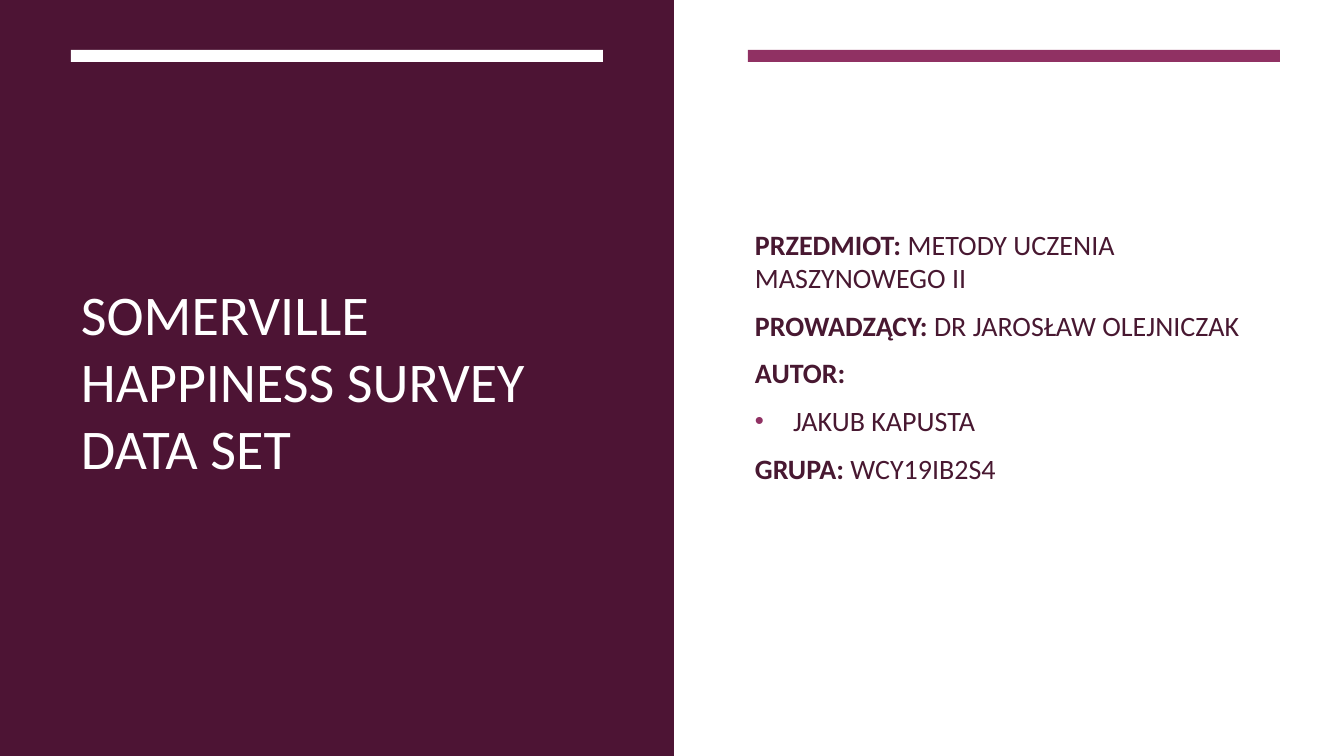
from lxml import etree
from pptx import Presentation
from pptx.dml.color import RGBColor
from pptx.enum.shapes import MSO_SHAPE as Preset
from pptx.enum.text import MSO_ANCHOR as Anchor
from pptx.oxml.ns import qn
from pptx.util import Emu, Pt

WIDTH, HEIGHT = 1344, 756
PANEL_WIDTH = 674
BAR_TOP, BAR_WIDTH, BAR_HEIGHT = 50, 532, 12
TEXT_TOP, TEXT_HEIGHT = 114, 532
INDENT = 38
WHITE, PLUM, MAGENTA, INK = "FFFFFF", "4D1434", "903163", "481831"

TITLE = [("", "SOMERVILLE HAPPINESS SURVEY DATA SET", False)]
DETAILS = [
    ("PRZEDMIOT: ", "METODY UCZENIA MASZYNOWEGO II", False),
    ("PROWADZĄCY: ", "DR JAROSŁAW OLEJNICZAK", False),
    ("AUTOR:", "", False),
    ("", "JAKUB KAPUSTA", True),
    ("GRUPA: ", "WCY19IB2S4", False),
]
RECTANGLES = [
    (0, 0, WIDTH, HEIGHT, WHITE),
    (0, 0, PANEL_WIDTH, HEIGHT, PLUM),
    (71, BAR_TOP, BAR_WIDTH, BAR_HEIGHT, WHITE),
    (748, BAR_TOP, BAR_WIDTH, BAR_HEIGHT, MAGENTA),
]
TEXTS = [
    (71, 532, TITLE, {"size": Pt(40)}, WHITE, {}, 5),
    (745, 535, DETAILS, {"size": Pt(20)}, INK,
     {"space_before": Pt(4), "space_after": Pt(6)}, 53),
]


def px(length):
    return Emu(round(length * 914400 / 100.8))


def color(value):
    return RGBColor.from_string(value)


def apply(target, formats):
    for name, value in formats.items():
        setattr(target, name, value)


def add_rectangle(slide, left, top, width, height, fill):
    shape = slide.shapes.add_shape(
        Preset.RECTANGLE, px(left), px(top), px(width), px(height))
    shape.shadow.inherit = False
    shape.fill.solid()
    shape.fill.fore_color.rgb = color(fill)
    shape.line.fill.background()


def add_bullet(paragraph):
    properties = paragraph._p.get_or_add_pPr()
    properties.set("marL", str(px(INDENT)))
    properties.set("indent", str(-px(INDENT)))
    bullet_color = etree.SubElement(properties, qn("a:buClr"))
    etree.SubElement(bullet_color, qn("a:srgbClr"), val=MAGENTA)
    etree.SubElement(properties, qn("a:buSzPct"), val="92000")
    etree.SubElement(properties, qn("a:buFont"), typeface="Arial")
    etree.SubElement(properties, qn("a:buChar"), char="•")


def add_text(slide, left, width, lines, font, ink, spacing, bottom):
    shape = slide.shapes.add_textbox(
        px(left), px(TEXT_TOP), px(width), px(TEXT_HEIGHT))
    frame = shape.text_frame
    apply(frame, {"word_wrap": True, "vertical_anchor": Anchor.MIDDLE,
                  "margin_left": px(10), "margin_right": px(10),
                  "margin_top": px(5), "margin_bottom": px(bottom)})
    for index, (label, value, bulleted) in enumerate(lines):
        paragraph = frame.add_paragraph() if index else frame.paragraphs[0]
        apply(paragraph, spacing)
        if bulleted:
            add_bullet(paragraph)
        for text, bold in ((label, True), (value, False)):
            if text:
                run = paragraph.add_run()
                run.text = text
                apply(run.font, {"name": "Calibri", "bold": bold, **font})
                run.font.color.rgb = color(ink)


def main():
    presentation = Presentation()
    apply(presentation, {"slide_width": px(WIDTH), "slide_height": px(HEIGHT)})
    slide = presentation.slides.add_slide(presentation.slide_layouts[6])
    for rectangle in RECTANGLES:
        add_rectangle(slide, *rectangle)
    for text in TEXTS:
        add_text(slide, *text)
    presentation.save("out.pptx")


if __name__ == "__main__":
    main()
